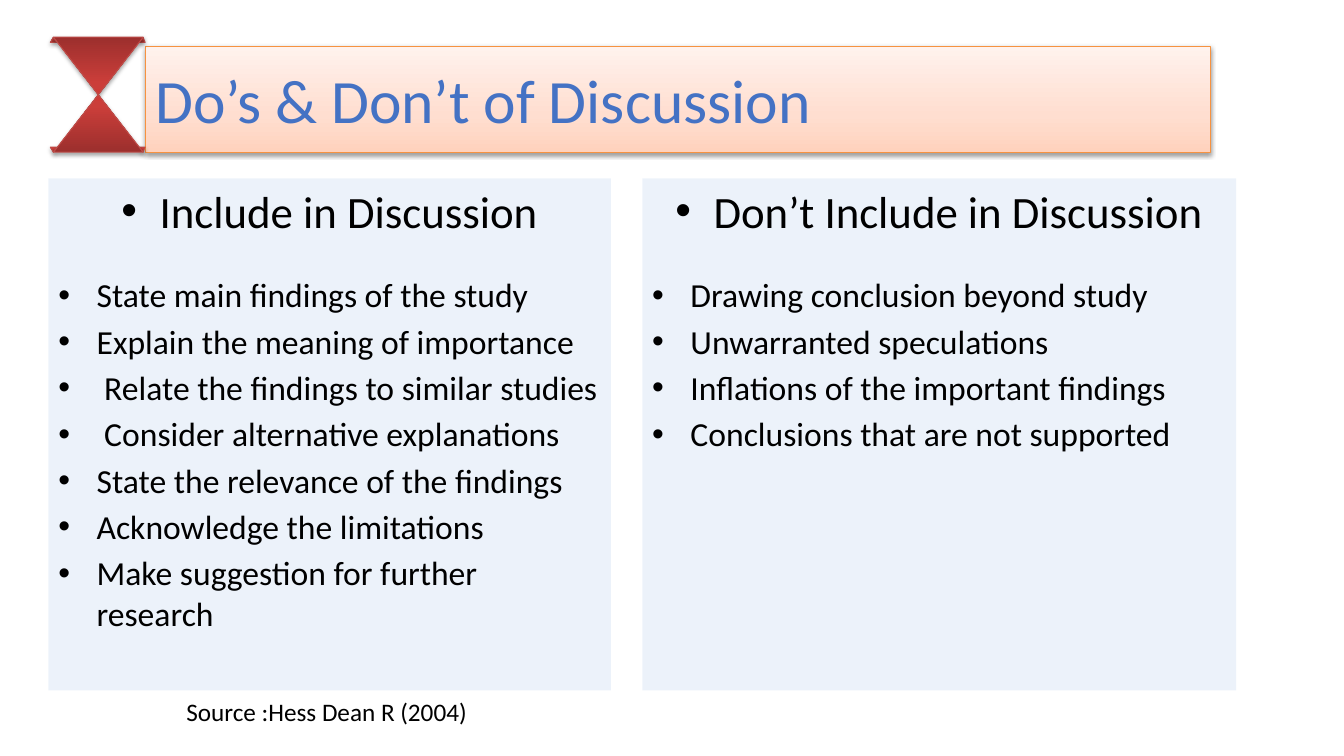
from pptx import Presentation
from pptx.dml.color import RGBColor
from pptx.enum.shapes import MSO_SHAPE
from pptx.enum.text import MSO_ANCHOR, MSO_AUTO_SIZE, PP_ALIGN
from pptx.oxml.ns import qn
from pptx.util import Inches, Pt
from lxml.etree import SubElement

BLACK = RGBColor(0x00, 0x00, 0x00)
TITLE_BLUE = RGBColor(0x44, 0x72, 0xC4)
PANEL_BLUE = RGBColor(0x55, 0x8E, 0xD5)
ORANGE = RGBColor(0xF6, 0x92, 0x40)
RED = RGBColor(0xBF, 0x4C, 0x48)
PEACH_STOPS = [(0, RGBColor(0xFF, 0xD2, 0xBD)), (35, RGBColor(0xFF, 0xDE, 0xD0)),
               (100, RGBColor(0xFF, 0xF2, 0xED))]
RED_STOPS = [(0, RGBColor(0x9C, 0x2F, 0x2D)), (80, RGBColor(0xCB, 0x3E, 0x3A)),
             (100, RGBColor(0xCE, 0x3B, 0x37))]

INCLUDE = [
    "State main findings of the study",
    "Explain the meaning of importance",
    " Relate the findings to similar studies",
    " Consider alternative explanations",
    "State the relevance of the findings",
    "Acknowledge the limitations",
    "Make suggestion for further research",
]
EXCLUDE = [
    "Drawing conclusion beyond study",
    "Unwarranted speculations",
    "Inflations of the important findings",
    "Conclusions that are not supported",
]


def write(p, text, size=24, color=BLACK, align=PP_ALIGN.LEFT, before=0, bullet=False):
    if bullet:
        pPr = p._p.get_or_add_pPr()
        pPr.set("marL", str(Inches(0.38)))
        pPr.set("indent", str(-Inches(0.38)))
        SubElement(pPr, qn("a:buFont")).set("typeface", "Arial")
        SubElement(pPr, qn("a:buChar")).set("char", "•")
    p.alignment = align
    p.space_before = Pt(before)
    r = p.add_run()
    r.text = text
    r.font.name = "Calibri"
    r.font.size = Pt(size)
    r.font.color.rgb = color


def style_raised(sp, stops, line, shadow_alpha):
    """Vertical gradient, thin outline and a soft shadow below."""
    sp.fill.gradient()
    sp.fill.gradient_angle = 90
    stop_list = sp._element.spPr.find(qn("a:gradFill")).find(qn("a:gsLst"))
    for old in list(stop_list):
        stop_list.remove(old)
    for pos, color in stops:
        gs = SubElement(stop_list, qn("a:gs"), pos=str(pos * 1000))
        SubElement(gs, qn("a:srgbClr"), val=str(color))
    sp.line.color.rgb = line
    sp.line.width = Pt(0.75)
    sp.shadow.inherit = False
    effects = sp._element.spPr.find(qn("a:effectLst"))
    shadow = SubElement(effects, qn("a:outerShdw"), blurRad=str(Pt(3.1)),
                        dist=str(Pt(1.6)), dir="5400000", rotWithShape="0")
    clr = SubElement(shadow, qn("a:srgbClr"), val=str(BLACK))
    SubElement(clr, qn("a:alpha"), val=str(shadow_alpha * 1000))


def add_title(s, text):
    sp = s.shapes.title
    sp.left, sp.top, sp.width, sp.height = (Inches(v) for v in (1.44, 0.46, 10.57, 1.05))
    style_raised(sp, PEACH_STOPS, ORANGE, 38)
    tf = sp.text_frame
    tf.auto_size = MSO_AUTO_SIZE.NONE
    tf.vertical_anchor = MSO_ANCHOR.MIDDLE
    write(tf.paragraphs[0], text, size=44, color=TITLE_BLUE)


def add_panel(s, left, width, heading, items):
    sp = s.shapes.add_shape(MSO_SHAPE.RECTANGLE, Inches(left), Inches(1.77),
                            Inches(width), Inches(5.08))
    sp.shadow.inherit = False
    sp.fill.solid()
    sp.fill.fore_color.rgb = PANEL_BLUE
    clr = sp._element.spPr.find(qn("a:solidFill"))[0]
    SubElement(clr, qn("a:alpha"), val="11000")
    sp.line.fill.background()
    tf = sp.text_frame
    tf.word_wrap = True
    tf.vertical_anchor = MSO_ANCHOR.TOP
    write(tf.paragraphs[0], heading, size=32, align=PP_ALIGN.CENTER, bullet=True)
    for i, item in enumerate(items):
        write(tf.add_paragraph(), item, before=4.3 if i else 26.5, bullet=True)


def add_triangle(s, top, flipped):
    sp = s.shapes.add_shape(MSO_SHAPE.ISOSCELES_TRIANGLE, Inches(0.53), Inches(top),
                            Inches(0.89), Inches(0.57))
    if flipped:
        sp._element.spPr.find(qn("a:xfrm")).set("flipV", "1")
    style_raised(sp, RED_STOPS, RED, 35)


def add_corner(s, tip_x, left, tip_y, base_y):
    fb = s.shapes.build_freeform(Inches(tip_x), Inches(tip_y))
    fb.add_line_segments([(Inches(left + 0.06), Inches(base_y)),
                          (Inches(left), Inches(base_y))], close=True)
    style_raised(fb.convert_to_shape(), RED_STOPS, RED, 35)


def add_hourglass(s):
    for top, flipped, tip_y, base_y in ((0.37, True, 0.37, 0.42),
                                        (0.94, False, 1.51, 1.46)):
        for tip_x, left in ((1.42, 1.38), (0.53, 0.5)):
            add_corner(s, tip_x, left, tip_y, base_y)
        add_triangle(s, top, flipped)


def add_source(s, text):
    tf = s.shapes.add_textbox(Inches(1.75), Inches(6.86),
                              Inches(10.07), Inches(0.4)).text_frame
    tf.word_wrap = True
    write(tf.paragraphs[0], text, size=18)


def main():
    prs = Presentation()
    prs.slide_width, prs.slide_height = Inches(13.33), Inches(7.5)
    s = prs.slides.add_slide(prs.slide_layouts[5])

    # Two lists side by side
    add_panel(s, 6.37, 5.89, "Don’t Include in Discussion", EXCLUDE)
    add_panel(s, 0.48, 5.58, "Include in Discussion", INCLUDE)

    # Header band with hourglass
    add_title(s, "Do’s & Don’t of Discussion")
    add_hourglass(s)

    # Source line
    add_source(s, "Source :Hess Dean R (2004)")

    prs.save("out.pptx")


if __name__ == "__main__":
    main()
